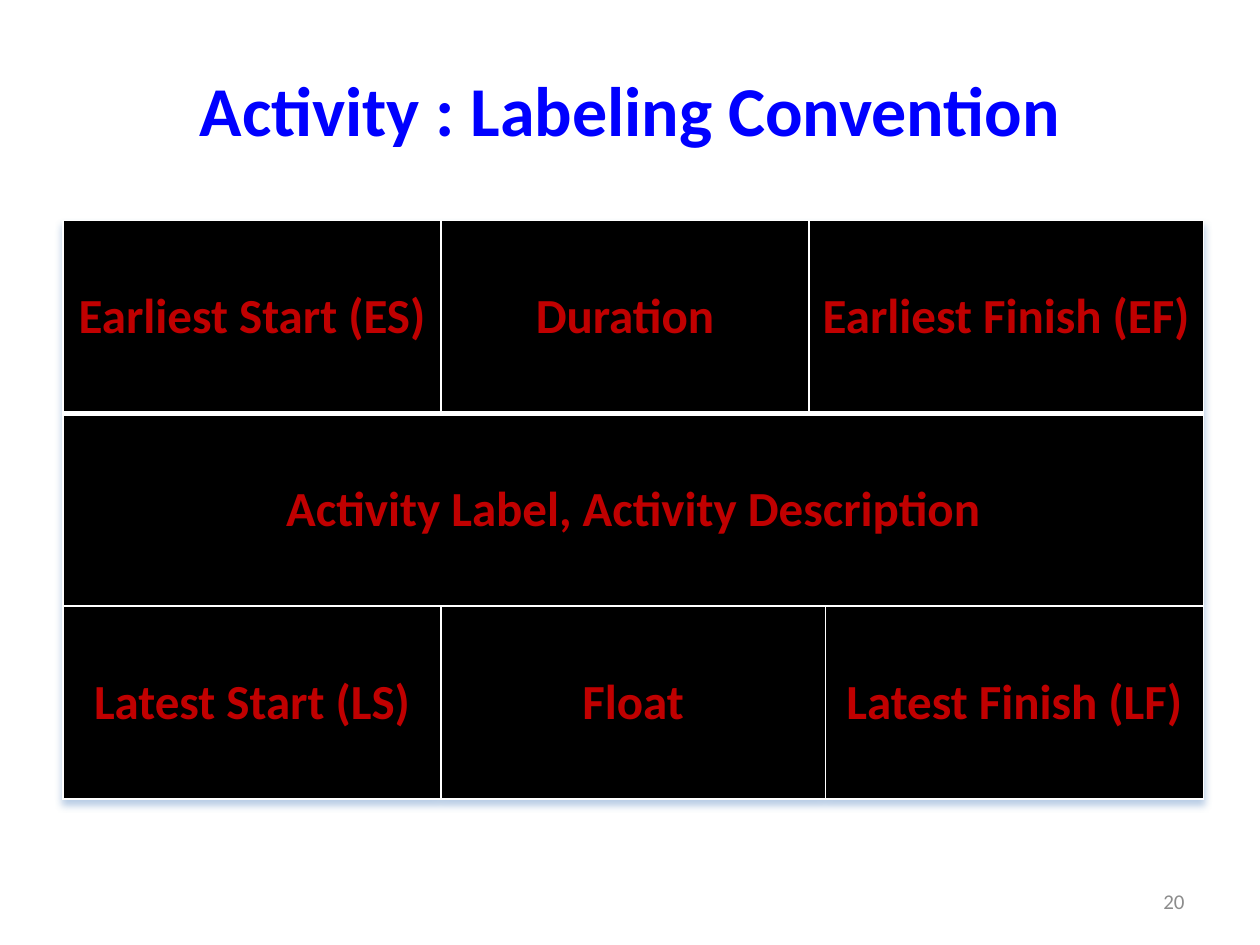
from lxml.etree import SubElement
from pptx import Presentation
from pptx.dml.color import RGBColor
from pptx.enum.text import MSO_ANCHOR as Anchor, PP_ALIGN as Align
from pptx.oxml import parse_xml
from pptx.oxml.ns import nsdecls, qn
from pptx.util import Inches, Pt

TITLE = "Activity : Labeling Convention"
PAGE_NUMBER = "20"
COLUMN_WIDTHS = [3, 2.92, 0.13, 3]
ROW_HEIGHT = 1.53
ROWS = [
    [("Earliest Start (ES)", 1), ("Duration", 1), ("Earliest Finish (EF)", 2)],
    [("Activity Label, Activity Description", 4)],
    [("Latest Start (LS)", 1), ("Float", 2), ("Latest Finish (LF)", 1)],
]
BLUE, RED, GREY, BLACK, WHITE = "0000FF", "C00000", "8C8C8C", "000000", "FFFFFF"
SHADOW = (
    f'<a:effectLst {nsdecls("a")}><a:outerShdw blurRad="50800" dist="38100" dir="5400000">'
    '<a:srgbClr val="4F81BD"><a:alpha val="40000"/></a:srgbClr></a:outerShdw></a:effectLst>'
)


def color(value):
    return RGBColor.from_string(value)


def write(frame, text, size, fill, bold=False, align=Align.CENTER):
    frame.word_wrap = True
    paragraph = frame.paragraphs[0]
    paragraph.alignment = align
    run = paragraph.add_run()
    run.text = text
    run.font.name, run.font.size, run.font.bold = "Calibri", Pt(size), bold
    run.font.color.rgb = color(fill)


def add_borders(cell, **widths):
    properties = cell._tc.get_or_add_tcPr()
    for index, side in enumerate("LRTB"):
        line = parse_xml(f'<a:ln{side} {nsdecls("a")} w="{Pt(widths.get(side, 1))}"/>')
        fill = SubElement(line, qn("a:solidFill"))
        SubElement(fill, qn("a:srgbClr"), val=WHITE)
        properties.insert(index, line)


def add_activity_table(slide):
    table = slide.shapes.add_table(
        len(ROWS), len(COLUMN_WIDTHS), Inches(0.5), Inches(1.75),
        Inches(sum(COLUMN_WIDTHS)), Inches(ROW_HEIGHT * len(ROWS))).table
    table._tbl.tblPr.insert(0, parse_xml(SHADOW))
    for column, width in zip(table.columns, COLUMN_WIDTHS):
        column.width = Inches(width)
    for row_index, labels in enumerate(ROWS):
        table.rows[row_index].height = Inches(ROW_HEIGHT)
        for cell in table.rows[row_index].cells:
            cell.fill.solid()
            cell.fill.fore_color.rgb = color(BLACK)
            add_borders(cell, T=3 if row_index == 1 else 1, B=3 if row_index == 0 else 1)
        start = 0
        for label, span in labels:
            cell = table.cell(row_index, start)
            if span > 1:
                cell.merge(table.cell(row_index, start + span - 1))
            cell.vertical_anchor = Anchor.MIDDLE
            write(cell.text_frame, label, 28, RED, bold=True)
            start += span


def main():
    """Build the activity labeling slide."""
    presentation = Presentation()
    presentation.slide_width, presentation.slide_height = Inches(10), Inches(7.5)
    slide = presentation.slides.add_slide(presentation.slide_layouts[5])
    title = slide.shapes.title
    title.left, title.top = Inches(0.5), Inches(0.3)
    title.width, title.height = Inches(9), Inches(1.12)
    title.text_frame.vertical_anchor = Anchor.MIDDLE
    write(title.text_frame, TITLE, 40, BLUE, bold=True)
    add_activity_table(slide)
    number = slide.shapes.add_textbox(Inches(7.17), Inches(6.95), Inches(2.33), Inches(0.4))
    number.text_frame.vertical_anchor = Anchor.MIDDLE
    write(number.text_frame, PAGE_NUMBER, 12, GREY, align=Align.RIGHT)
    presentation.save("out.pptx")


if __name__ == "__main__":
    main()
